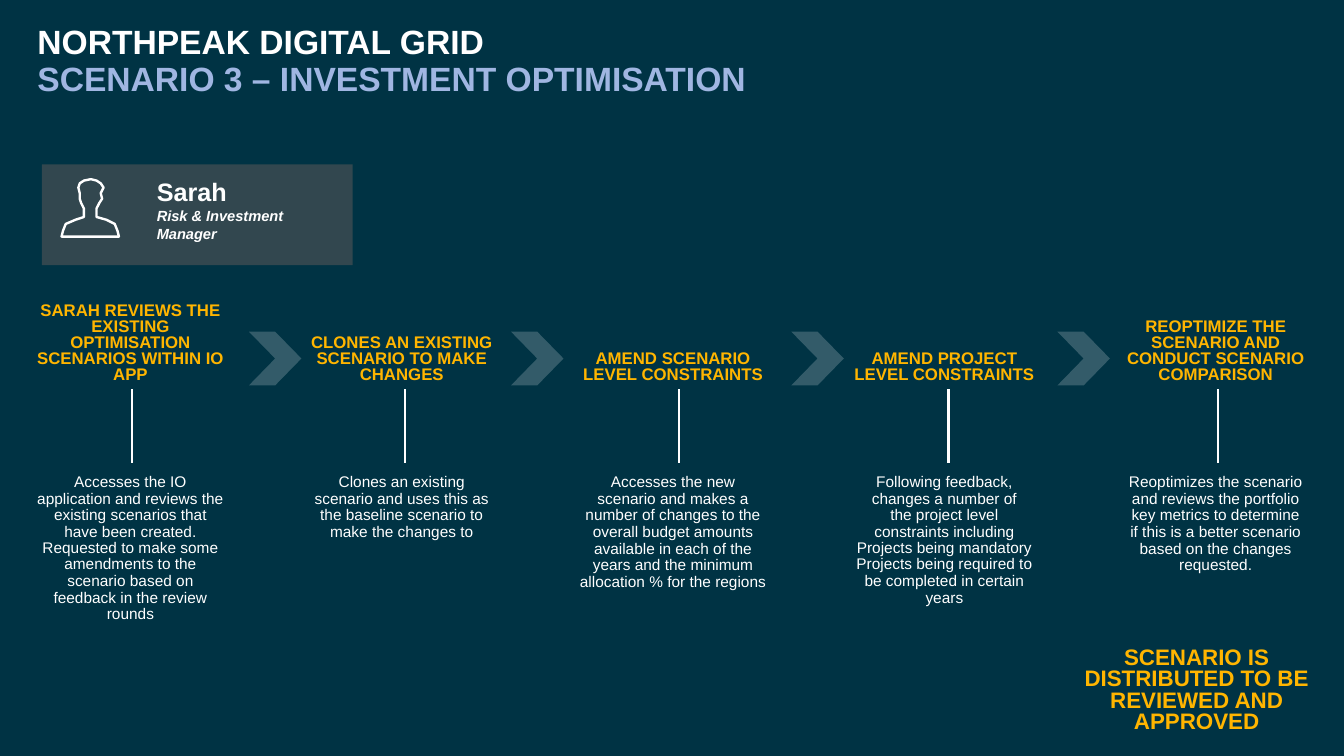
from dataclasses import dataclass

from lxml.etree import SubElement
from pptx import Presentation
from pptx.dml.color import RGBColor
from pptx.enum.shapes import MSO_CONNECTOR as Connector, MSO_SHAPE as Shape
from pptx.enum.text import MSO_ANCHOR as Anchor, MSO_AUTO_SIZE as AutoSize, PP_ALIGN as Align
from pptx.oxml.ns import qn
from pptx.util import Pt


@dataclass(frozen=True)
class Theme:
    font: str = "Arial"
    navy: str = "003344"
    white: str = "FFFFFF"
    lilac: str = "A0B6E2"
    amber: str = "FFB500"
    grey: str = "5A5858"
    title: float = 24
    name: float = 18
    outcome: float = 16
    heading: float = 12
    body: float = 11
    role: float = 10.5


theme = Theme()


def write(frame, text, *, size, color=theme.white, bold=False, italic=False,
          align=Align.CENTER, leading=None, inset=(0, 0)):
    """Fill a text frame, one paragraph per line of text; inset is left, top."""
    frame.word_wrap = True
    frame.auto_size = AutoSize.NONE
    frame.vertical_anchor = Anchor.TOP
    frame.margin_left, frame.margin_top = Pt(inset[0]), Pt(inset[1])
    frame.margin_right = frame.margin_bottom = 0
    frame.text = text
    for para in frame.paragraphs:
        para.alignment = align
        para.space_before = Pt(0)
        if leading:
            para.line_spacing = Pt(leading)
        for span in para.runs:
            font = span.font
            font.name, font.size, font.bold, font.italic = theme.font, Pt(size), bold, italic
            font.color.rgb = RGBColor.from_string(color)


def add_panel(kind, left, top, width, height, color, opacity):
    """Add a borderless, see-through shape."""
    panel = slide.shapes.add_shape(kind, Pt(left), Pt(top), Pt(width), Pt(height))
    panel.shadow.inherit = False
    panel.line.fill.background()
    panel.fill.solid()
    panel.fill.fore_color.rgb = RGBColor.from_string(color)
    tint = panel.element.spPr.find(qn("a:solidFill")).find(qn("a:srgbClr"))
    SubElement(tint, qn("a:alpha"), val=str(opacity * 1000))


deck = Presentation()
deck.slide_width, deck.slide_height = Pt(960), Pt(540)
slide = deck.slides.add_slide(deck.slide_layouts[5])
slide.background.fill.solid()
slide.background.fill.fore_color.rgb = RGBColor.from_string(theme.navy)

# Title
title = slide.shapes.title
title.left, title.top, title.width, title.height = Pt(26), Pt(17.3), Pt(508), Pt(54)
write(title.text_frame, "NORTHPEAK DIGITAL GRID\nSCENARIO 3 – INVESTMENT OPTIMISATION",
      size=theme.title, bold=True, align=Align.LEFT, leading=25.9, inset=(0.7, 0.7))
subtitle = title.text_frame.paragraphs[1].runs[0]
subtitle.font.color.rgb = RGBColor.from_string(theme.lilac)

# Persona card
add_panel(Shape.RECTANGLE, 30, 117.4, 222, 72, theme.grey, 56)
persona = slide.shapes.add_textbox(Pt(30), Pt(124.6), Pt(222), Pt(49))
write(persona.text_frame, "Sarah\nRisk & Investment\vManager", size=theme.role,
      bold=True, italic=True, align=Align.LEFT, leading=12.8, inset=(82, 1))
name = persona.text_frame.paragraphs[0]
name.line_spacing = 1.0
name.runs[0].font.size, name.runs[0].font.italic = Pt(theme.name), False

# Person icon: one half of the outline, mirrored about its axis
icon_axis = 64.6
half_outline = [(0, 128.2), (4.3, 128.9), (7.6, 131), (8.9, 134), (7.2, 138.5), (8, 142),
                (6.5, 145), (4.3, 149), (4.3, 155), (11, 157), (17.3, 160.5),
                (19.5, 165), (20.2, 168.8)]
right = [(icon_axis + x, y) for x, y in half_outline]
left = [(icon_axis - x, y) for x, y in reversed(half_outline[1:])]
builder = slide.shapes.build_freeform(*right[0], scale=Pt(1))
builder.add_line_segments(right[1:] + left, close=True)
person = builder.convert_to_shape()
person.shadow.inherit = False
person.fill.background()
person.line.color.rgb = RGBColor.from_string(theme.white)
person.line.width = Pt(1.7)

# Steps: stem position, heading, its line count, description, its line count
steps = [
    (94.3, "SARAH REVIEWS THE EXISTING OPTIMISATION SCENARIOS WITHIN IO APP", 5,
     "Accesses the IO\vapplication and reviews the existing scenarios that\vhave been created.\n"
     "Requested to make some\namendments to the\vscenario based on\vfeedback in the review rounds", 9),
    (289.4, "CLONES AN EXISTING SCENARIO TO MAKE CHANGES", 3,
     "Clones an existing\vscenario and uses this as the baseline scenario to make the changes to", 4),
    (485.3, "AMEND SCENARIO LEVEL CONSTRAINTS", 2,
     "Accesses the new\vscenario and makes a number of changes to the overall budget amounts "
     "available in each of the years and the minimum allocation % for the regions", 7),
    (677.5, "AMEND PROJECT LEVEL CONSTRAINTS", 2,
     "Following feedback,\vchanges a number of\vthe project level\vconstraints including\n"
     "Projects being mandatory\nProjects being required to be completed in certain years", 8),
    (869.8, "REOPTIMIZE THE SCENARIO AND CONDUCT SCENARIO COMPARISON", 4,
     "Reoptimizes the scenario and reviews the portfolio key metrics to determine\v"
     "if this is a better scenario based on the changes requested.", 6),
]
first_center, pitch, column_width = 93.2, 193.8, 136
heading_bottom, heading_leading = 275.8, 11.5
body_top, body_leading = 336.4, 11.9

for index, (stem_x, heading, heading_lines, body, body_lines) in enumerate(steps):
    column_left = first_center + index * pitch - column_width / 2
    rows = [
        (heading_bottom - 5 - heading_lines * heading_leading, heading, heading_lines,
         dict(size=theme.heading, color=theme.amber, bold=True,
              leading=heading_leading, inset=(0, 3.6))),
        (body_top, body, body_lines,
         dict(size=theme.body, leading=body_leading, inset=(0, 2.2))),
    ]
    for top, text, lines, style in rows:
        box = slide.shapes.add_textbox(Pt(column_left), Pt(top), Pt(column_width),
                                       Pt(5 + lines * style["leading"]))
        write(box.text_frame, text, **style)
        for para in box.text_frame.paragraphs[1:2]:
            para.line_spacing = Pt(11)

    stem = slide.shapes.add_connector(Connector.STRAIGHT, Pt(stem_x), Pt(278), Pt(stem_x), Pt(331))
    stem.line.color.rgb = RGBColor.from_string(theme.white)
    stem.line.width = Pt(1.56)
    SubElement(stem.element.spPr, qn("a:effectLst"))

for chevron_left in (177.8, 365, 565.2, 755.3):
    add_panel(Shape.CHEVRON, chevron_left, 236.9, 37.5, 38.4, theme.white, 20)

# Outcome
outcome = slide.shapes.add_textbox(Pt(773.3), Pt(458), Pt(163), Pt(67))
write(outcome.text_frame, "SCENARIO IS DISTRIBUTED TO BE REVIEWED AND APPROVED",
      size=theme.outcome, color=theme.amber, bold=True, leading=15.4, inset=(0, 5))

deck.save("out.pptx")
